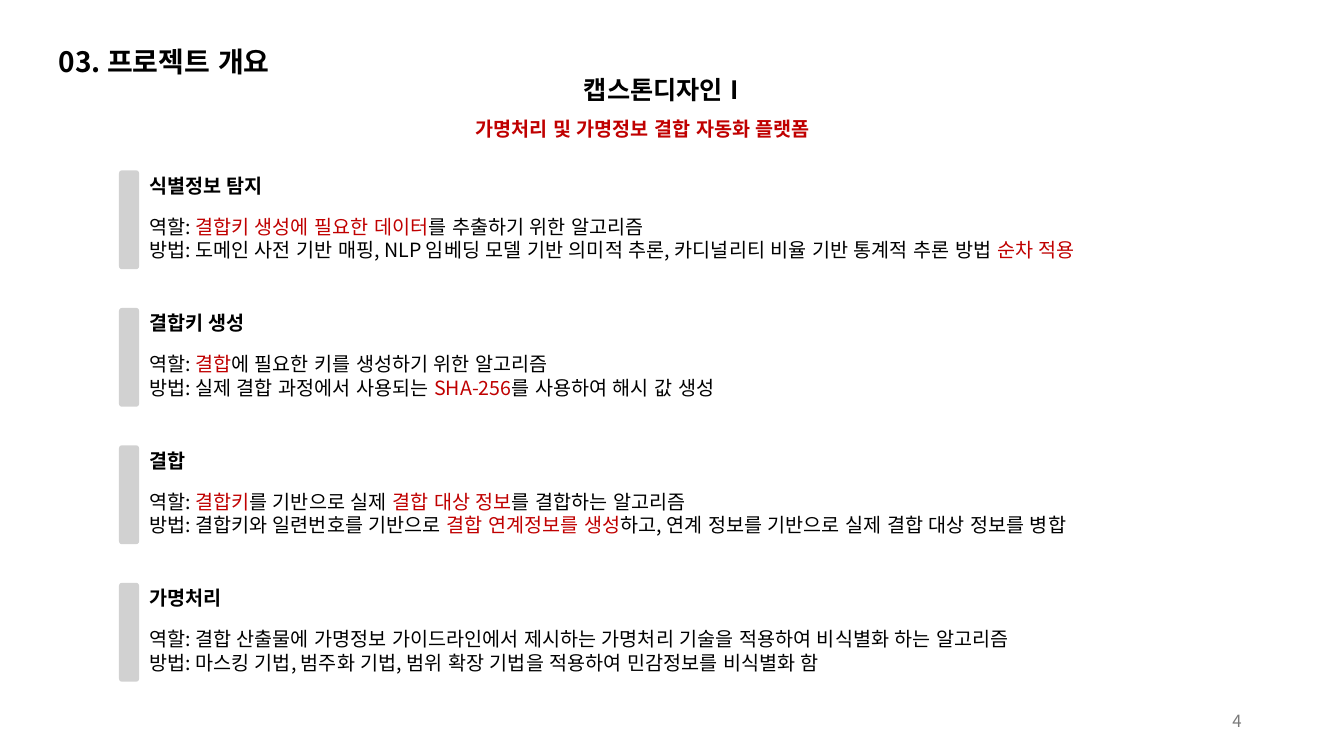
import pptx
import pptx.dml.color
import pptx.enum.lang
import pptx.enum.shapes
import pptx.enum.text
import pptx.oxml
import pptx.oxml.ns
import pptx.util

Pt = pptx.util.Pt
ALIGN = pptx.enum.text.PP_ALIGN
ANCHOR = pptx.enum.text.MSO_ANCHOR


def color(text):
    return pptx.dml.color.RGBColor.from_string(text)


class Deck:
    font = "Noto Sans CJK KR"
    black, red, grey, pale = "000000", "C00000", "797979", "D1D1D1"

    def __init__(self, wide, high):
        self.prs = pptx.Presentation()
        self.prs.slide_width, self.prs.slide_height = Pt(wide), Pt(high)
        self.slide = self.prs.slides.add_slide(self.prs.slide_layouts[6])

    def style(self, run, size, tint, bold):
        run.font.size, run.font.bold = Pt(size), bold
        run.font.color.rgb = color(tint)
        run.font.name = self.font
        run.font.language_id = pptx.enum.lang.MSO_LANGUAGE_ID.KOREAN
        east = pptx.oxml.parse_xml(
            f'<a:ea {pptx.oxml.ns.nsdecls("a")} typeface="{self.font}"/>')
        run.font._element.find(pptx.oxml.ns.qn("a:latin")).addnext(east)

    def text(self, box, lines, size=14, tint=black, bold=False,
             align=ALIGN.LEFT, home=None):
        """Each line may mark its red words with asterisks."""
        shape = (home or self.slide).shapes.add_textbox(*map(Pt, box))
        frame = shape.text_frame
        frame.word_wrap = False
        frame.auto_size = pptx.enum.text.MSO_AUTO_SIZE.SHAPE_TO_FIT_TEXT
        for i, line in enumerate(lines):
            para = frame.paragraphs[0] if i == 0 else frame.add_paragraph()
            para.alignment = align
            for j, words in enumerate(line.split("*")):
                if words:
                    run = para.add_run()
                    run.text = words
                    self.style(run, size, self.red if j % 2 else tint, bold)
        return frame

    def bar(self, box, home):
        kind = pptx.enum.shapes.MSO_SHAPE.ROUNDED_RECTANGLE
        shape = home.shapes.add_shape(kind, *map(Pt, box))
        shape.adjustments[0] = 0.15
        shape.shadow.inherit = False
        shape.fill.solid()
        shape.fill.fore_color.rgb = color(self.pale)
        shape.line.fill.background()

    def step(self, top, name, span, lines, width):
        group = self.slide.shapes.add_group_shape()
        self.bar((85, top + 1, 14.4, 70.6), group)
        self.text((99.4, top, span, 24.5), [name], bold=True, home=group)
        self.text((99.4, top + 29, width, 41), lines, home=group)


# Name, name width, lines, line width
STEPS = [
    ("식별정보 탐지", 104.4, [
        "역할: *결합키 생성에 필요한 데이터*를 추출하기 위한 알고리즘",
        "방법: 도메인 사전 기반 매핑, NLP 임베딩 모델 기반 의미적 추론, "
        "카디널리티 비율 기반 통계적 추론 방법 *순차 적용*"], 746),
    ("결합키 생성", 90, [
        "역할: *결합*에 필요한 키를 생성하기 위한 알고리즘",
        "방법: 실제 결합 과정에서 사용되는 *SHA-256*를 사용하여 해시 값 생성"], 458),
    ("결합", 42.5, [
        "역할: *결합키*를 기반으로 실제 *결합 대상 정보*를 결합하는 알고리즘",
        "방법: 결합키와 일련번호를 기반으로 *결합 연계정보를 생성*하고, "
        "연계 정보를 기반으로 실제 결합 대상 정보를 병합"], 768),
    ("가명처리", 71.3, [
        "역할: 결합 산출물에 가명정보 가이드라인에서 제시하는 "
        "가명처리 기술을 적용하여 비식별화 하는 알고리즘",
        "방법: 마스킹 기법, 범주화 기법, 범위 확장 기법을 적용하여 "
        "민감정보를 비식별화 함"], 694),
]


def main():
    deck = Deck(960, 540)

    # Page number
    page = deck.text((678, 500.4, 216, 28.8), ["4"], 12, deck.grey,
                     align=ALIGN.RIGHT)
    page.auto_size = pptx.enum.text.MSO_AUTO_SIZE.NONE
    page.word_wrap = True
    page.vertical_anchor = ANCHOR.MIDDLE

    # Headings
    deck.text((28, 28, 178.6, 31.5), ["03. 프로젝트 개요"], 20, bold=True,
              align=ALIGN.CENTER)
    title = deck.text((332.6, 39, 279.4, 62),
                      ["캡스톤디자인 I", "*가명처리 및 가명정보 결합 자동화 플랫폼*"],
                      bold=True)
    for para in title.paragraphs:
        para.line_spacing = 1.5
    first = title.paragraphs[0]
    first.alignment = ALIGN.CENTER
    first.runs[0].font.size = Pt(18)

    # Four steps at an equal pitch
    for i, item in enumerate(STEPS):
        deck.step(120.7 + i * 98.2, *item)

    deck.prs.save("out.pptx")


if __name__ == "__main__":
    main()
